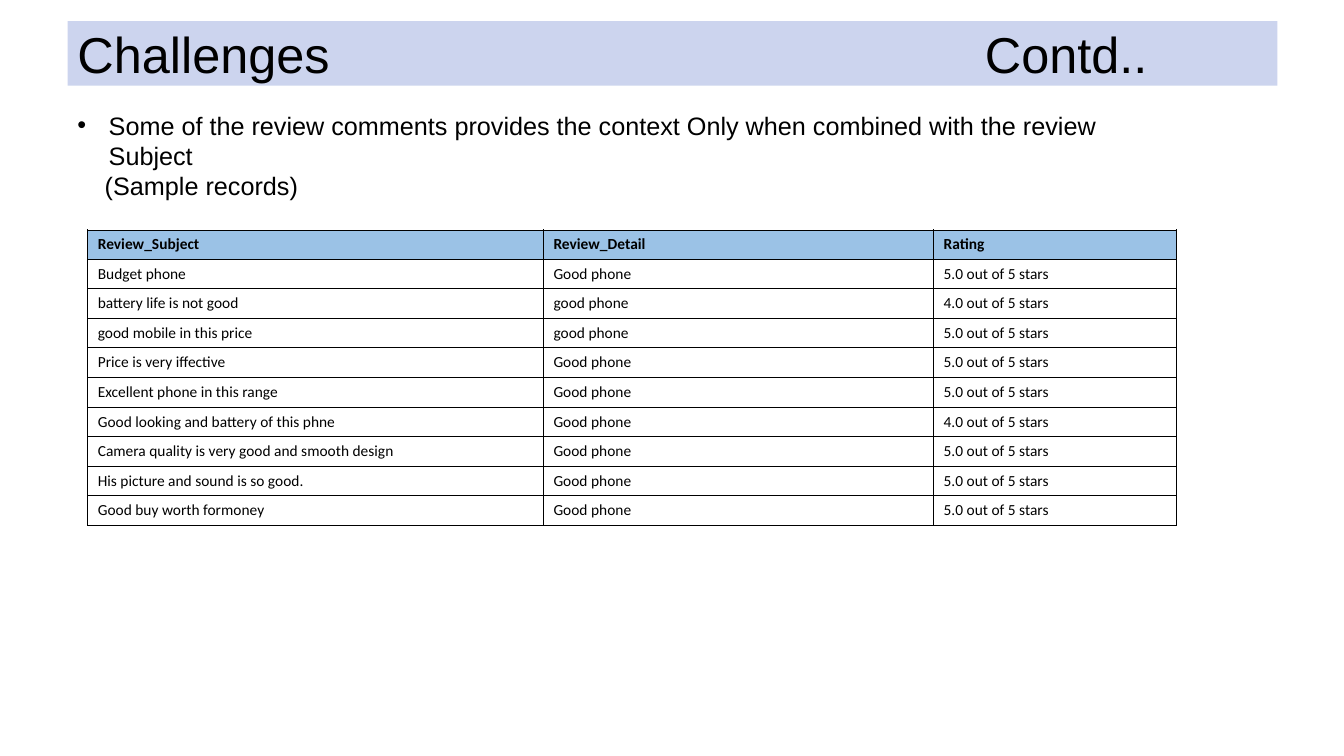
from dataclasses import dataclass
from typing import NamedTuple

from lxml import etree
from pptx import Presentation
from pptx import util as u
from pptx.dml import color
from pptx.enum import shapes, text
from pptx.oxml import ns


@dataclass(frozen=True)
class Theme:
    ink: str = "000000"
    banner: str = "CCD4EE"
    header: str = "9BC2E6"
    font: str = "Arial"
    table_font: str = "Calibri"
    title_size: int = 36
    body_size: int = 18
    table_size: int = 11
    header_line: float = 0.5
    grid_line: float = 0.75


class Review(NamedTuple):
    subject: str
    detail: str
    rating: str


THEME = Theme()
HEADINGS = Review("Review_Subject", "Review_Detail", "Rating")
REVIEWS = [
    Review("Budget phone", "Good phone", "5.0 out of 5 stars"),
    Review("battery life is not good", "good phone", "4.0 out of 5 stars"),
    Review("good mobile in this price", "good phone", "5.0 out of 5 stars"),
    Review("Price is very iffective", "Good phone", "5.0 out of 5 stars"),
    Review("Excellent phone in this range", "Good phone", "5.0 out of 5 stars"),
    Review("Good looking and battery of this phne", "Good phone", "4.0 out of 5 stars"),
    Review("Camera quality is very good and smooth design", "Good phone", "5.0 out of 5 stars"),
    Review("His picture and sound is so good.", "Good phone", "5.0 out of 5 stars"),
    Review("Good buy worth formoney", "Good phone", "5.0 out of 5 stars"),
]
COLUMN_WIDTHS = (4.52, 3.87, 2.41)
TABLE_HEIGHT = u.Inches(2.93)


def add_child(parent, tag: str, **attributes: str):
    return etree.SubElement(parent, ns.qn(tag), attributes)


def add_span(para, words: str, size: int, font: str = THEME.font, bold: bool = False) -> None:
    span = para.add_run()
    span.text = words
    span.font.size = u.Pt(size)
    span.font.name = font
    span.font.bold = bold
    span.font.color.rgb = color.RGBColor.from_string(THEME.ink)


def indent(para, left: float, first: float = 0, bullet: str = "") -> None:
    properties = para._p.get_or_add_pPr()
    properties.set("marL", str(u.Inches(left)))
    properties.set("indent", str(u.Inches(first)))
    if bullet:
        add_child(properties, "a:buFont", typeface=THEME.font)
        add_child(properties, "a:buChar", char=bullet)


def add_tab_stop(para, position: float) -> None:
    stops = add_child(para._p.get_or_add_pPr(), "a:tabLst")
    add_child(stops, "a:tab", pos=str(u.Inches(position)), algn="l")


def add_border(cell, side: str, points: float) -> None:
    line = add_child(cell._tc.get_or_add_tcPr(), f"a:ln{side}", w=str(u.Pt(points)))
    add_child(add_child(line, "a:solidFill"), "a:srgbClr", val=THEME.ink)


def fill_cell(cell, words: str, row: int) -> None:
    is_header = row == 0
    for side in "LRTB":
        thin = is_header or (row == 1 and side == "T")
        add_border(cell, side, THEME.header_line if thin else THEME.grid_line)
    if is_header:
        cell.fill.solid()
        cell.fill.fore_color.rgb = color.RGBColor.from_string(THEME.header)
    else:
        cell.fill.background()
    cell.vertical_anchor = text.MSO_ANCHOR.MIDDLE
    add_span(cell.text_frame.paragraphs[0], words, THEME.table_size, THEME.table_font, is_header)


def add_title(page) -> None:
    banner = page.shapes.add_shape(
        shapes.MSO_SHAPE.RECTANGLE, u.Inches(0.67), u.Inches(0.21), u.Inches(12), u.Inches(0.64))
    banner.shadow.inherit = False
    banner.fill.solid()
    banner.fill.fore_color.rgb = color.RGBColor.from_string(THEME.banner)
    banner.line.fill.background()
    banner.text_frame.vertical_anchor = text.MSO_ANCHOR.MIDDLE
    para = banner.text_frame.paragraphs[0]
    para.alignment = text.PP_ALIGN.LEFT
    add_tab_stop(para, 9)
    add_span(para, "Challenges\tContd..", THEME.title_size)


def add_explanation(page) -> None:
    box = page.shapes.add_textbox(u.Inches(0.67), u.Inches(1.04), u.Inches(11.15), u.Inches(1.01))
    box.text_frame.word_wrap = True
    point = box.text_frame.paragraphs[0]
    indent(point, 0.31, -0.31, "\u2022")
    add_span(point, "Some of the review comments provides the context Only when "
                    "combined with the review Subject", THEME.body_size)
    note = box.text_frame.add_paragraph()
    indent(note, 0.27)
    add_span(note, "(Sample records)", THEME.body_size)


def add_reviews(page) -> None:
    records = [HEADINGS, *REVIEWS]
    table = page.shapes.add_table(
        len(records), len(COLUMN_WIDTHS), u.Inches(0.87), u.Inches(2.28),
        u.Inches(sum(COLUMN_WIDTHS)), TABLE_HEIGHT).table
    table.first_row = table.horz_banding = False
    for column, width in zip(table.columns, COLUMN_WIDTHS):
        column.width = u.Inches(width)
    for row, record in enumerate(records):
        for column, words in enumerate(record):
            fill_cell(table.cell(row, column), words, row)


deck = Presentation()
deck.slide_width, deck.slide_height = u.Inches(13.33), u.Inches(7.5)
page = deck.slides.add_slide(deck.slide_layouts[6])

# Title banner, explanation and sample records
add_title(page)
add_explanation(page)
add_reviews(page)

deck.save("out.pptx")
